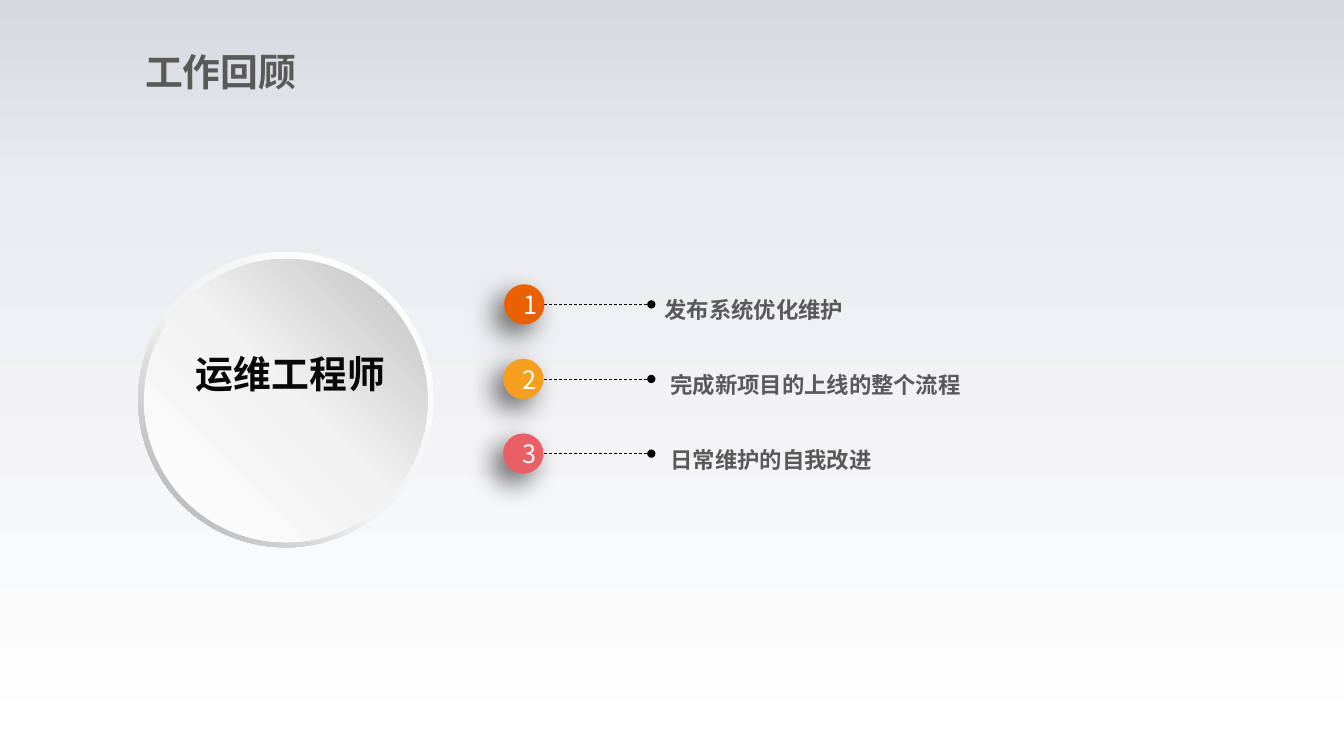
"""Build the work review slide: a role disc and three numbered tasks."""
from dataclasses import dataclass

import pptx
import pptx.dml.color
import pptx.dml.fill
import pptx.enum.dml
import pptx.enum.shapes
import pptx.enum.text
import pptx.oxml
import pptx.oxml.ns
import pptx.shapes.autoshape
import pptx.slide
import pptx.text.text
import pptx.util
from lxml import etree

RGB = pptx.dml.color.RGBColor
ALIGN = pptx.enum.text.PP_ALIGN
SHAPE = pptx.enum.shapes.MSO_SHAPE
qn = pptx.oxml.ns.qn

EMU_PER_PX = 9144
FONT = "Noto Sans CJK SC"
BLACK = RGB(0x00, 0x00, 0x00)
WHITE = RGB(0xFF, 0xFF, 0xFF)
INK = RGB(0x08, 0x08, 0x08)
GREY = RGB(0x59, 0x59, 0x59)
PALE = RGB(0xF2, 0xF2, 0xF2)
SILVER = RGB(0xBF, 0xBF, 0xBF)
STEEL = RGB(0xA6, 0xA6, 0xA6)
SKY_TOP = RGB(0xD7, 0xD9, 0xE1)
SKY_MIDDLE = RGB(0xEB, 0xEC, 0xF0)
ORANGE = RGB(0xEA, 0x61, 0x03)
AMBER = RGB(0xF6, 0x9F, 0x1E)
CORAL = RGB(0xEA, 0x5E, 0x66)

Stops = list[tuple[int, RGB]]


@dataclass(frozen=True)
class Task:
    wording: str
    color: RGB
    badge_left: int
    wording_left: int
    wording_width: int


@dataclass(frozen=True)
class Disc:
    preset: int
    left: int
    top: int
    size: int
    stops: Stops
    angle: int


TASKS = [
    Task("发布系统优化维护", ORANGE, 500, 659, 588),
    Task("完成新项目的上线的整个流程", AMBER, 499, 665, 504),
    Task("日常维护的自我改进", CORAL, 499, 665, 533),
]
FIRST_TASK_TOP = 282
TASK_PITCH = 74
BADGE_SIZE = 40

DISCS = [
    Disc(SHAPE.DONUT, 137, 250, 293, [(0, WHITE), (55, PALE), (100, STEEL)], 135),
    Disc(SHAPE.OVAL, 143, 257, 281, [(0, WHITE), (51, PALE), (100, SILVER)], 315),
]


def px(length: int) -> pptx.util.Emu:
    return pptx.util.Emu(length * EMU_PER_PX)


def box(left: int, top: int, width: int, height: int) -> list[pptx.util.Emu]:
    return [px(length) for length in (left, top, width, height)]


def paint_gradient(fill: pptx.dml.fill.FillFormat, owner: etree._Element,
                   stops: Stops, clockwise: int) -> None:
    fill.gradient()
    fill.gradient_angle = 360 - clockwise
    stop_list = next(owner.iter(qn("a:gsLst")))
    for old_stop in list(stop_list):
        stop_list.remove(old_stop)
    for percent, color in stops:
        stop = etree.SubElement(stop_list, qn("a:gs"), pos=str(percent * 1000))
        etree.SubElement(stop, qn("a:srgbClr"), val=str(color))


def write(frame: pptx.text.text.TextFrame, wording: str, size: int, color: RGB,
          align: int, bold: bool = True) -> pptx.text.text._Paragraph:
    frame.text = wording
    frame.word_wrap = True
    paragraph = frame.paragraphs[0]
    paragraph.alignment = align
    font = paragraph.font
    font.size = pptx.util.Pt(size)
    font.bold = bold
    font.color.rgb = color
    font.name = FONT
    defaults = next(paragraph._p.iter(qn("a:defRPr")))
    etree.SubElement(defaults, qn("a:ea"), typeface=FONT)
    return paragraph


def fit_tightly(frame: pptx.text.text.TextFrame) -> None:
    frame.margin_left = frame.margin_right = 0
    frame.margin_top = frame.margin_bottom = 0
    frame.vertical_anchor = pptx.enum.text.MSO_ANCHOR.TOP
    frame.auto_size = pptx.enum.text.MSO_AUTO_SIZE.SHAPE_TO_FIT_TEXT


def add_plain_shape(slide: pptx.slide.Slide, preset: int, left: int, top: int,
                    size: int) -> pptx.shapes.autoshape.Shape:
    shape = slide.shapes.add_shape(preset, *box(left, top, size, size))
    shape.line.fill.background()
    shape.shadow.inherit = False
    return shape


def add_title(slide: pptx.slide.Slide) -> None:
    title = slide.shapes.title
    title.left, title.top, title.width, title.height = box(144, 48, 294, 45)
    write(title.text_frame, "工作回顾", 27, GREY, ALIGN.LEFT)
    fit_tightly(title.text_frame)


def add_role(slide: pptx.slide.Slide) -> None:
    for disc in DISCS:
        shape = add_plain_shape(slide, disc.preset, disc.left, disc.top, disc.size)
        if disc.preset == SHAPE.DONUT:
            shape.adjustments[0] = 0.05
        paint_gradient(shape.fill, shape._element, disc.stops, disc.angle)
    role = slide.shapes.add_textbox(*box(186, 375, 204, 48)).text_frame
    paragraph = write(role, "运维工程师", 27, INK, ALIGN.CENTER)
    paragraph.line_spacing = pptx.util.Pt(13)
    fit_tightly(role)


def add_leader(slide: pptx.slide.Slide, y: int) -> None:
    leader = slide.shapes.add_connector(
        pptx.enum.shapes.MSO_CONNECTOR.STRAIGHT, *box(530, y, 646, y))
    leader.line.color.rgb = BLACK
    leader.line.width = pptx.util.Pt(0.5)
    leader.line.dash_style = pptx.enum.dml.MSO_LINE.DASH
    properties = leader._element.spPr
    etree.SubElement(properties.find(qn("a:ln")), qn("a:tailEnd"), type="oval")
    etree.SubElement(properties, qn("a:effectLst"))


def add_badge(slide: pptx.slide.Slide, task: Task, number: int, top: int) -> None:
    badge = add_plain_shape(slide, SHAPE.OVAL, task.badge_left, top, BADGE_SIZE)
    badge.fill.solid()
    badge.fill.fore_color.rgb = task.color
    effects = badge._element.spPr.find(qn("a:effectLst"))
    shadow = etree.SubElement(
        effects, qn("a:outerShdw"), blurRad=str(pptx.util.Pt(20)),
        dist=str(pptx.util.Pt(10)), dir=str(135 * 60000), algn="tr", rotWithShape="0")
    tint = etree.SubElement(shadow, qn("a:srgbClr"), val=str(BLACK))
    etree.SubElement(tint, qn("a:alpha"), val="60000")
    frame = badge.text_frame
    write(frame, str(number), 18, WHITE, ALIGN.CENTER, bold=False)
    frame.margin_left = frame.margin_right = px(13)
    frame.margin_top = frame.margin_bottom = px(7)
    frame.vertical_anchor = pptx.enum.text.MSO_ANCHOR.MIDDLE


def add_task(slide: pptx.slide.Slide, task: Task, index: int) -> None:
    top = FIRST_TASK_TOP + index * TASK_PITCH
    wording = slide.shapes.add_textbox(
        *box(task.wording_left, top - 1, task.wording_width, 40)).text_frame
    paragraph = write(wording, task.wording, 16, GREY, ALIGN.JUSTIFY)
    paragraph.line_spacing = 1.5
    fit_tightly(wording)
    add_leader(slide, top + BADGE_SIZE // 2)
    add_badge(slide, task, index + 1, top)


def main() -> None:
    deck = pptx.Presentation()
    deck.slide_width, deck.slide_height = px(1333), px(750)
    slide = deck.slides.add_slide(deck.slide_layouts.get_by_name("Title Only"))
    paint_gradient(slide.background.fill, slide._element,
                   [(0, SKY_TOP), (26, SKY_MIDDLE), (100, WHITE)], 90)
    add_title(slide)
    add_role(slide)
    for index, task in enumerate(TASKS):
        add_task(slide, task, index)
    deck.save("out.pptx")


if __name__ == "__main__":
    main()
